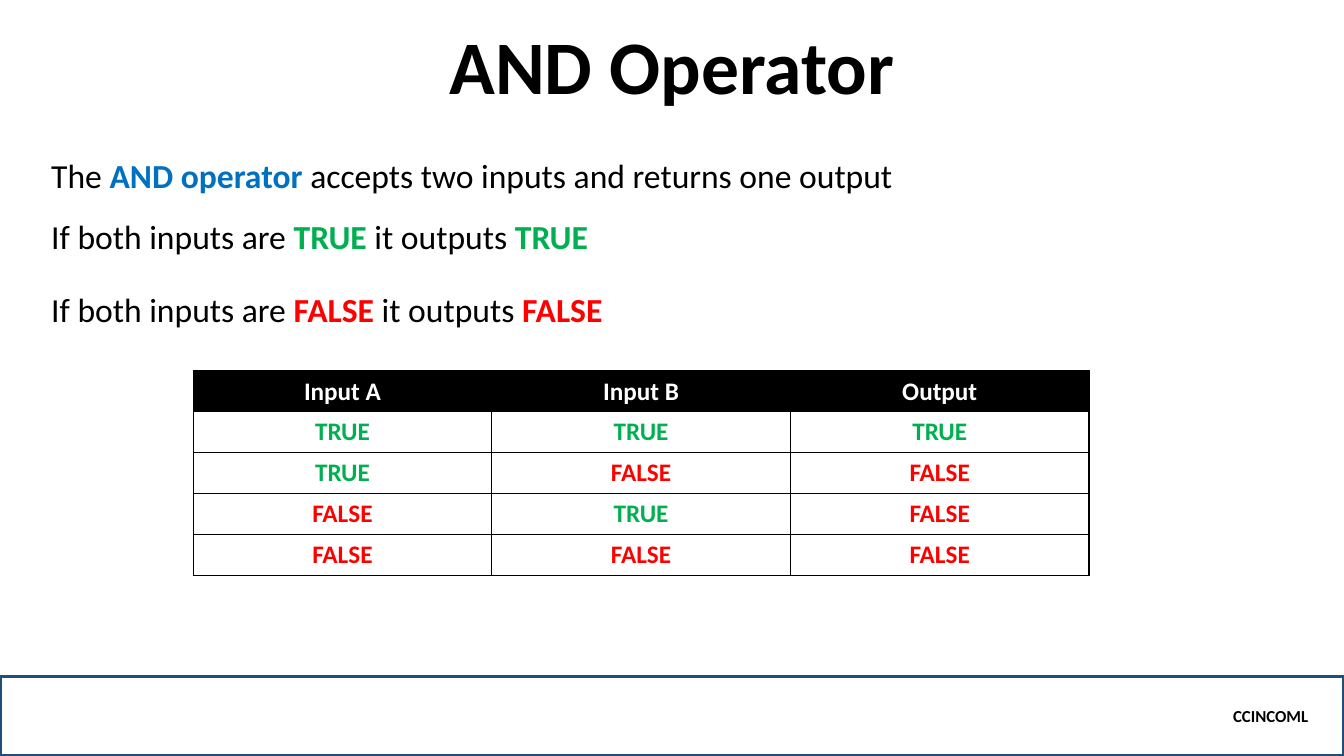
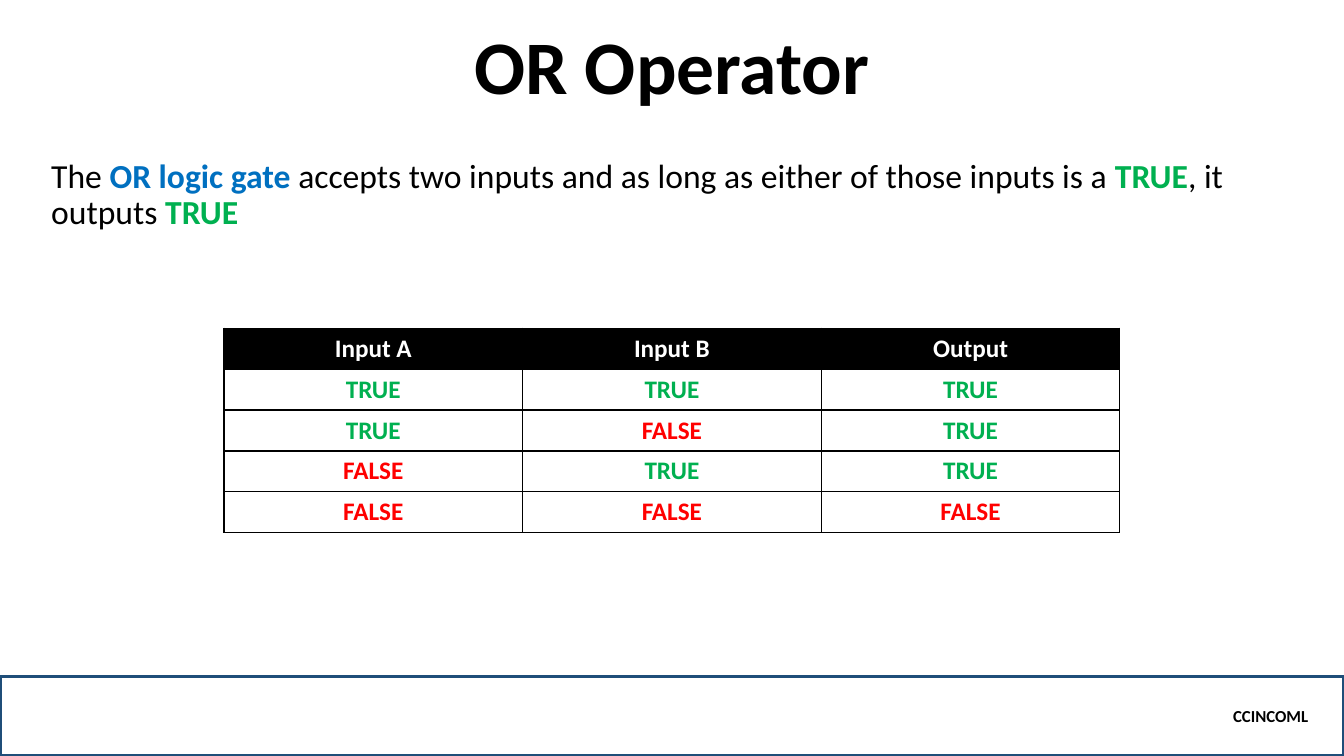
from itertools import product

from lxml import etree
from pptx import Presentation
from pptx.dml.color import RGBColor
from pptx.enum import shapes, text
from pptx.oxml import ns
from pptx.util import Pt

BLACK, WHITE, NAVY, BLUE = "000000", "FFFFFF", "1F4E79", "0070C0"
GREEN, RED = "00B050", "FF0000"
TRUE, FALSE = ("TRUE", GREEN), ("FALSE", RED)
FONT = "Calibri"
WIDTH, HEIGHT = 960, 540
LEFT, CENTER, RIGHT = text.PP_ALIGN.LEFT, text.PP_ALIGN.CENTER, text.PP_ALIGN.RIGHT


def rgb(value):
    return RGBColor.from_string(value)


def write(tf, parts, size, align, bold=None):
    """Fill the first paragraph with (text, colour) runs; by default the coloured ones are bold."""
    p = tf.paragraphs[0]
    p.alignment = align
    for content, color in parts:
        r = p.add_run()
        r.text = content
        r.font.name, r.font.size = FONT, Pt(size)
        r.font.bold = color != BLACK if bold is None else bold
        r.font.color.rgb = rgb(color)
    return p


# Each statement: top, width, height, line spacing, runs.
# Each truth table: left, top, and the rule that gives the output.
slides = [
    ("AND Operator", [
        (110, 633, 32, 0.9, [("The ", BLACK), ("AND operator ", BLUE),
                             ("accepts two inputs and returns one output", BLACK)]),
        (151, 489, 36, 1, [("If both inputs are ", BLACK), TRUE, (" it outputs ", BLACK), TRUE]),
        (203, 489, 36, 1, [("If both inputs are ", BLACK), FALSE, (" it outputs ", BLACK), FALSE]),
    ], (138, 265, all)),
    ("OR Operator", [
        (110, 875, 68, 0.9, [("The ", BLACK), ("OR logic gate ", BLUE),
                             ("accepts two inputs and as long as either of those inputs is a ", BLACK),
                             TRUE, (", it outputs ", BLACK), TRUE]),
    ], (160, 234.5, any)),
]

prs = Presentation()
prs.slide_width, prs.slide_height = Pt(WIDTH), Pt(HEIGHT)

for title, statements, (table_left, table_top, rule) in slides:
    s = prs.slides.add_slide(prs.slide_layouts[6])

    footer = s.shapes.add_shape(shapes.MSO_SHAPE.RECTANGLE, 0, Pt(483), Pt(WIDTH), Pt(HEIGHT - 483))
    footer.shadow.inherit = False
    footer.fill.background()
    footer.line.color.rgb = rgb(NAVY)
    footer.line.width = Pt(2.25)
    tf = footer.text_frame
    tf.vertical_anchor = text.MSO_ANCHOR.MIDDLE
    tf.margin_right = Pt(25.5)
    write(tf, [("CCINCOML", BLACK)], 12, RIGHT, bold=True)

    tf = s.shapes.add_textbox(Pt(120), Pt(15), Pt(720), Pt(68)).text_frame
    tf.word_wrap = True
    tf.vertical_anchor = text.MSO_ANCHOR.BOTTOM
    write(tf, [(title, BLACK)], 54, CENTER, bold=True).line_spacing = 0.9

    for top, width, height, spacing, parts in statements:
        tf = s.shapes.add_textbox(Pt(29.5), Pt(top), Pt(width), Pt(height)).text_frame
        tf.word_wrap = True
        write(tf, parts, 24, LEFT).line_spacing = spacing

    rows = [[(name, WHITE) for name in ("Input A", "Input B", "Output")]]
    for inputs in product((True, False), repeat=2):
        rows.append([TRUE if value else FALSE for value in (*inputs, rule(inputs))])

    table = s.shapes.add_table(len(rows), 3, Pt(table_left), Pt(table_top), Pt(640), Pt(146)).table
    table.first_row = table.horz_banding = False
    for i, row in enumerate(rows):
        for j, part in enumerate(row):
            cell = table.cell(i, j)
            tcPr = cell._tc.get_or_add_tcPr()
            for side in ("a:lnL", "a:lnR", "a:lnT", "a:lnB"):
                ln = etree.SubElement(tcPr, ns.qn(side), w=str(Pt(1)))
                fill = etree.SubElement(ln, ns.qn("a:solidFill"))
                etree.SubElement(fill, ns.qn("a:srgbClr"), val=BLACK)
            if i == 0:
                cell.fill.solid()
                cell.fill.fore_color.rgb = rgb(BLACK)
            else:
                cell.fill.background()
            write(cell.text_frame, [part], 18, CENTER, bold=True)

prs.save("out.pptx")
